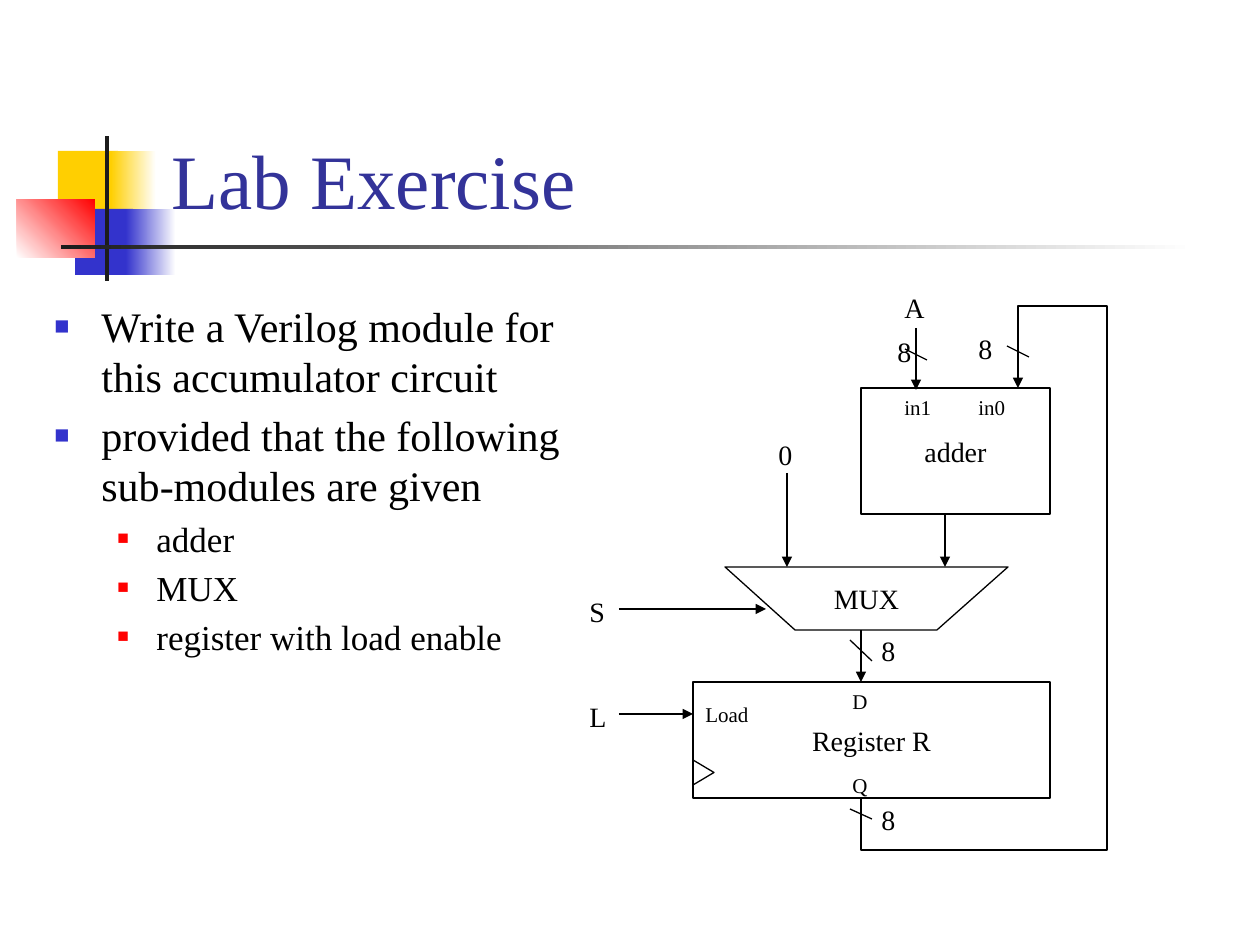
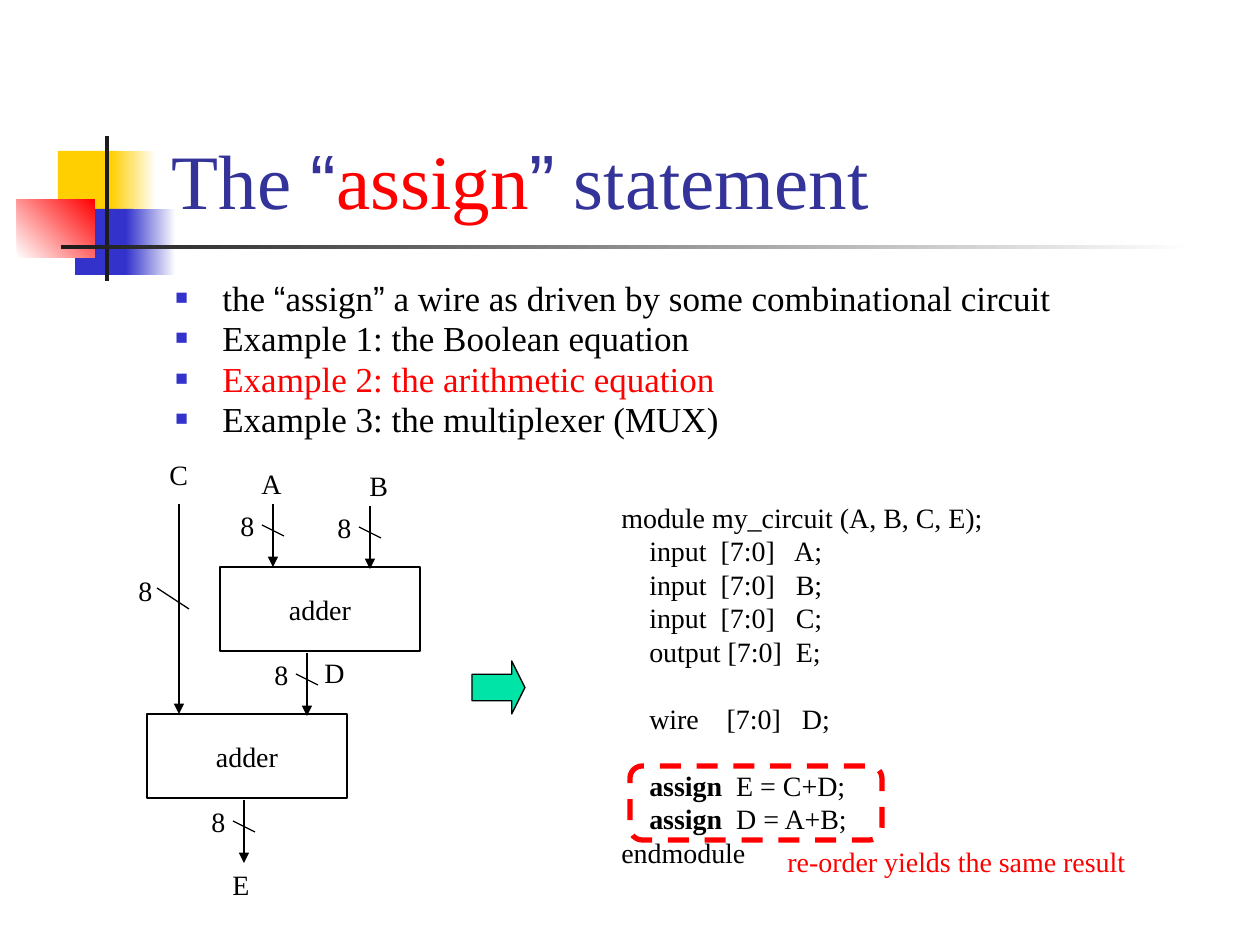
from dataclasses import dataclass

from lxml.etree import SubElement
from pptx import Presentation
from pptx.dml.color import RGBColor
from pptx.enum.dml import MSO_LINE
from pptx.enum.shapes import MSO_CONNECTOR, MSO_SHAPE as SHAPE
from pptx.enum.text import MSO_ANCHOR as ANCHOR, PP_ALIGN as ALIGN
from pptx.oxml.ns import qn
from pptx.util import Pt

EMU_PER_PX = 914400 / 126
TITLE_ONLY = 5


@dataclass(frozen=True)
class Theme:
    serif: str = "Times New Roman"
    sans: str = "Arial"
    black: str = "000000"
    white: str = "FFFFFF"
    title_blue: str = "333399"
    blue: str = "3333CC"
    yellow: str = "FFCF01"
    red: str = "FF0000"
    charcoal: str = "1C1C1C"
    green: str = "00E4A8"
    title: int = 44
    large: int = 24
    medium: int = 20
    label: int = 16
    port: int = 12
    hairline: float = 0.75


THEME = Theme()
# level: (left margin px, hanging px, colour, size in 1/1000 %)
BULLETS = {0: (47, 47, THEME.blue, 60000), 1: (102, 39, THEME.red, 55000)}


def px(*lengths):
    return [round(length * EMU_PER_PX) for length in lengths]


def rgb(colour):
    return RGBColor.from_string(colour)


def apply_format(target, values):
    for name, value in values.items():
        setattr(target, name, value)


def add_run(paragraph, text, size, color=THEME.black, font=THEME.serif, bold=False):
    run = paragraph.add_run()
    run.text = text
    apply_format(run.font, {"name": font, "size": Pt(size), "bold": bold})
    run.font.color.rgb = rgb(color)


def add_quoted(paragraph, before, word, after, size, color, word_color):
    """Write a line with one word in sans-serif curly quotes."""
    for text, tint, font in [(before, color, THEME.serif), ("“", color, THEME.sans),
                             (word, word_color, THEME.serif), ("”", color, THEME.sans),
                             (after, color, THEME.serif)]:
        add_run(paragraph, text, size, tint, font)


def outline(shape, color=THEME.black, width=THEME.hairline):
    shape.line.color.rgb = rgb(color)
    shape.line.width = Pt(width)


def add_box(slide, kind, box, fill=None, line=THEME.black, width=THEME.hairline):
    shape = slide.shapes.add_shape(kind, *px(*box))
    shape.shadow.inherit = False
    if fill:
        shape.fill.solid()
        shape.fill.fore_color.rgb = rgb(fill)
    else:
        shape.fill.background()
    if line:
        outline(shape, line, width)
    else:
        shape.line.fill.background()
    return shape


def add_fade(slide, box, start, end, angle=0):
    band = add_box(slide, SHAPE.RECTANGLE, box, line=None)
    band.fill.gradient()
    band.fill.gradient_angle = angle
    for stop, color in zip(band.fill.gradient_stops, (start, end)):
        stop.color.rgb = rgb(color)


def caption(shape, text):
    """Centre a block's name inside it."""
    apply_format(shape.text_frame, {"vertical_anchor": ANCHOR.MIDDLE, "word_wrap": False})
    paragraph = shape.text_frame.paragraphs[0]
    paragraph.alignment = ALIGN.CENTER
    add_run(paragraph, text, THEME.label)


def add_block(slide, text, box):
    caption(add_box(slide, SHAPE.RECTANGLE, box), text)


def add_outline(slide, points, closed):
    builder = slide.shapes.build_freeform(*points[0], scale=EMU_PER_PX)
    builder.add_line_segments(points[1:], close=closed)
    shape = builder.convert_to_shape()
    shape.shadow.inherit = False
    shape.fill.background()
    outline(shape)
    return shape


def add_wire(slide, x1, y1, x2, y2, arrow=False):
    wire = slide.shapes.add_connector(MSO_CONNECTOR.STRAIGHT, *px(x1, y1, x2, y2))
    outline(wire)
    if arrow:
        SubElement(wire.line._get_or_add_ln(), qn("a:tailEnd"), type="triangle")
    SubElement(wire._element.spPr, qn("a:effectLst"))


def add_label(slide, text, x, y, width=45, size=THEME.label, color=THEME.black):
    height = 47 if size == THEME.label else 38
    label = slide.shapes.add_textbox(*px(x, y, width, height))
    label.text_frame.word_wrap = False
    add_run(label.text_frame.paragraphs[0], text, size, color)


def mark_width(slide, x, top, slash=(-11, 21, 11, 32), label=(-45, -2)):
    """Slash a bus and write its 8-bit width, both offset from the bus start."""
    left, upper, right, lower = slash
    add_wire(slide, x + left, top + upper, x + right, top + lower)
    add_label(slide, "8", x + label[0], top + label[1], 39)


def add_bus(slide, x, top, bottom, **mark):
    add_wire(slide, x, top, x, bottom, arrow=True)
    mark_width(slide, x, top, **mark)


def add_bullet(frame, first, level, size, spacing=1.0):
    paragraph = frame.paragraphs[0] if first else frame.add_paragraph()
    margin, hanging, color, percent = BULLETS[level]
    props = paragraph._p.get_or_add_pPr()
    for name, value in zip(("marL", "indent"), px(margin, -hanging)):
        props.set(name, str(value))
    SubElement(SubElement(props, qn("a:buClr")), qn("a:srgbClr"), val=color)
    SubElement(props, qn("a:buSzPct"), val=str(percent))
    SubElement(props, qn("a:buFont"), typeface=THEME.sans)
    SubElement(props, qn("a:buChar"), char="■")
    apply_format(paragraph, {"level": level, "line_spacing": spacing,
                             "space_before": Pt(0 if first else size * 0.2)})
    return paragraph


def add_body(slide, box):
    frame = slide.shapes.add_textbox(*px(*box)).text_frame
    frame.word_wrap = True
    return frame


def add_motif(slide):
    """Coloured squares and crossing rules beside the title."""
    add_box(slide, SHAPE.RECTANGLE, (58, 151, 60, 66), THEME.yellow, None)
    add_fade(slide, (111, 151, 45, 66), THEME.yellow, THEME.white)
    add_box(slide, SHAPE.RECTANGLE, (75, 209, 58, 66), THEME.blue, None)
    add_fade(slide, (126, 209, 50, 66), THEME.blue, THEME.white)
    add_fade(slide, (17, 199, 78, 59), THEME.white, THEME.red, 45)
    add_box(slide, SHAPE.RECTANGLE, (105, 136, 4, 145), THEME.charcoal, None)
    add_fade(slide, (61, 245, 1134, 4), THEME.charcoal, THEME.white)


def start_slide(deck):
    """Return a new slide with the motif, and its empty title paragraph."""
    slide = deck.slides.add_slide(deck.slide_layouts[TITLE_ONLY])
    add_motif(slide)
    title = slide.shapes.title
    slide.shapes._spTree.append(title._element)
    apply_format(title, dict(zip(("left", "top", "width", "height"), px(159, 29, 1074, 202))))
    apply_format(title.text_frame, {"vertical_anchor": ANCHOR.BOTTOM, "word_wrap": True})
    heading = title.text_frame.paragraphs[0]
    heading.alignment = ALIGN.LEFT
    return slide, heading


def draw_accumulator(slide):
    add_block(slide, "Register R", (693, 682, 357, 116))
    clock = add_box(slide, SHAPE.ISOSCELES_TRIANGLE, (691, 762, 25, 21))
    clock.rotation = 90
    mux = add_outline(slide, [(725, 567), (795, 630), (937, 630), (1008, 567)], True)
    caption(mux, "MUX")
    add_block(slide, "adder", (861, 388, 189, 126))

    for text, x, y, width in [("Load", 693, 695, 69), ("in1", 892, 388, 52),
                              ("in0", 966, 388, 52), ("D", 840, 682, 40),
                              ("Q", 840, 766, 40)]:
        add_label(slide, text, x, y, width, THEME.port)
    for text, x, y in [("0", 766, 431), ("A", 892, 284), ("L", 577, 693), ("S", 577, 588)]:
        add_label(slide, text, x, y, 41)

    for wire in [(945, 514, 945, 567), (787, 473, 787, 567),
                 (619, 714, 693, 714), (619, 609, 766, 609)]:
        add_wire(slide, *wire, arrow=True)
    add_bus(slide, 916, 328, 390, label=(-31, 0))
    add_bus(slide, 1018, 325, 388, label=(-52, 0))
    add_bus(slide, 861, 630, 682, slash=(-11, 10, 11, 31), label=(8, -3))
    add_outline(slide, [(861, 798), (861, 850), (1107, 850), (1107, 306),
                        (1018, 306), (1018, 325)], False)
    mark_width(slide, 861, 798, slash=(-11, 11, 11, 21), label=(8, -2))


def build_lab_exercise(deck):
    slide, heading = start_slide(deck)
    add_run(heading, "Lab Exercise", THEME.title, THEME.title_blue)
    body = add_body(slide, (42, 294, 546, 388))
    tasks = [("Write a Verilog module for this accumulator circuit", 0),
             ("provided that the following sub-modules are given", 0),
             ("adder", 1), ("MUX", 1), ("register with load enable", 1)]
    for index, (text, level) in enumerate(tasks):
        size = THEME.medium if level else THEME.large
        add_run(add_bullet(body, index == 0, level, size), text, size)
    draw_accumulator(slide)


def draw_adder_chain(slide):
    for x, y in [(220, 567), (147, 714)]:
        add_block(slide, "adder", (x, y, 200, 84))
    for x, top in [(273, 504), (370, 506), (307, 653), (244, 800)]:
        add_bus(slide, x, top, top + 63)
    add_bus(slide, 179, 504, 714, slash=(-22, 84, 10, 105), label=(-53, 63))
    for text, x, y in [("A", 249, 460), ("B", 357, 462), ("C", 157, 451),
                       ("D", 312, 649), ("E", 220, 861)]:
        add_label(slide, text, x, y)


def add_code(slide):
    frame = slide.shapes.add_textbox(*px(609, 494, 388, 383)).text_frame
    frame.word_wrap = False
    # (plain start, bold keyword, plain rest, space before in points)
    lines = [("module my_circuit (A, B, C, E);", "", "", 0),
             ("    input  [7:0]   A;", "", "", 0),
             ("    input  [7:0]   B;", "", "", 0),
             ("    input  [7:0]   C;", "", "", 0),
             ("    output [7:0]  E;", "", "", 0),
             ("    wire    [7:0]   D;", "", "", 19),
             ("    ", "assign", "  E = C+D;", 19),
             ("    ", "assign", "  D = A+B;", 0),
             ("endmodule", "", "", 0)]
    for index, (start, keyword, rest, gap) in enumerate(lines):
        paragraph = frame.add_paragraph() if index else frame.paragraphs[0]
        paragraph.space_before = Pt(gap)
        for text in filter(None, (start, keyword, rest)):
            add_run(paragraph, text, THEME.label, bold=text == keyword)


def build_assign_statement(deck):
    slide, heading = start_slide(deck)
    add_quoted(heading, "The ", "assign", " statement",
               THEME.title, THEME.title_blue, THEME.red)
    body = add_body(slide, (163, 278, 1071, 194))
    add_quoted(add_bullet(body, True, 0, THEME.medium, 0.8), "the ", "assign",
               " a wire as driven by some combinational circuit",
               THEME.medium, THEME.black, THEME.black)
    for text, color in [("Example 1: the Boolean equation", THEME.black),
                        ("Example 2: the arithmetic equation", THEME.red),
                        ("Example 3: the multiplexer (MUX)", THEME.black)]:
        add_run(add_bullet(body, False, 0, THEME.medium, 0.8), text, THEME.medium, color)
    add_code(slide)
    draw_adder_chain(slide)

    becomes = add_box(slide, SHAPE.RIGHT_ARROW, (472, 661, 53, 53), THEME.green)
    becomes.adjustments[1] = 0.25
    reordered = add_box(slide, SHAPE.ROUNDED_RECTANGLE, (630, 766, 252, 74),
                        line=THEME.red, width=3)
    reordered.line.dash_style = MSO_LINE.DASH
    add_label(slide, "re-order yields the same result", 775, 838, 365, color=THEME.red)


def main():
    deck = Presentation()
    deck.slide_width, deck.slide_height = px(1260, 945)
    build_lab_exercise(deck)
    build_assign_statement(deck)
    deck.save("out.pptx")


if __name__ == "__main__":
    main()
